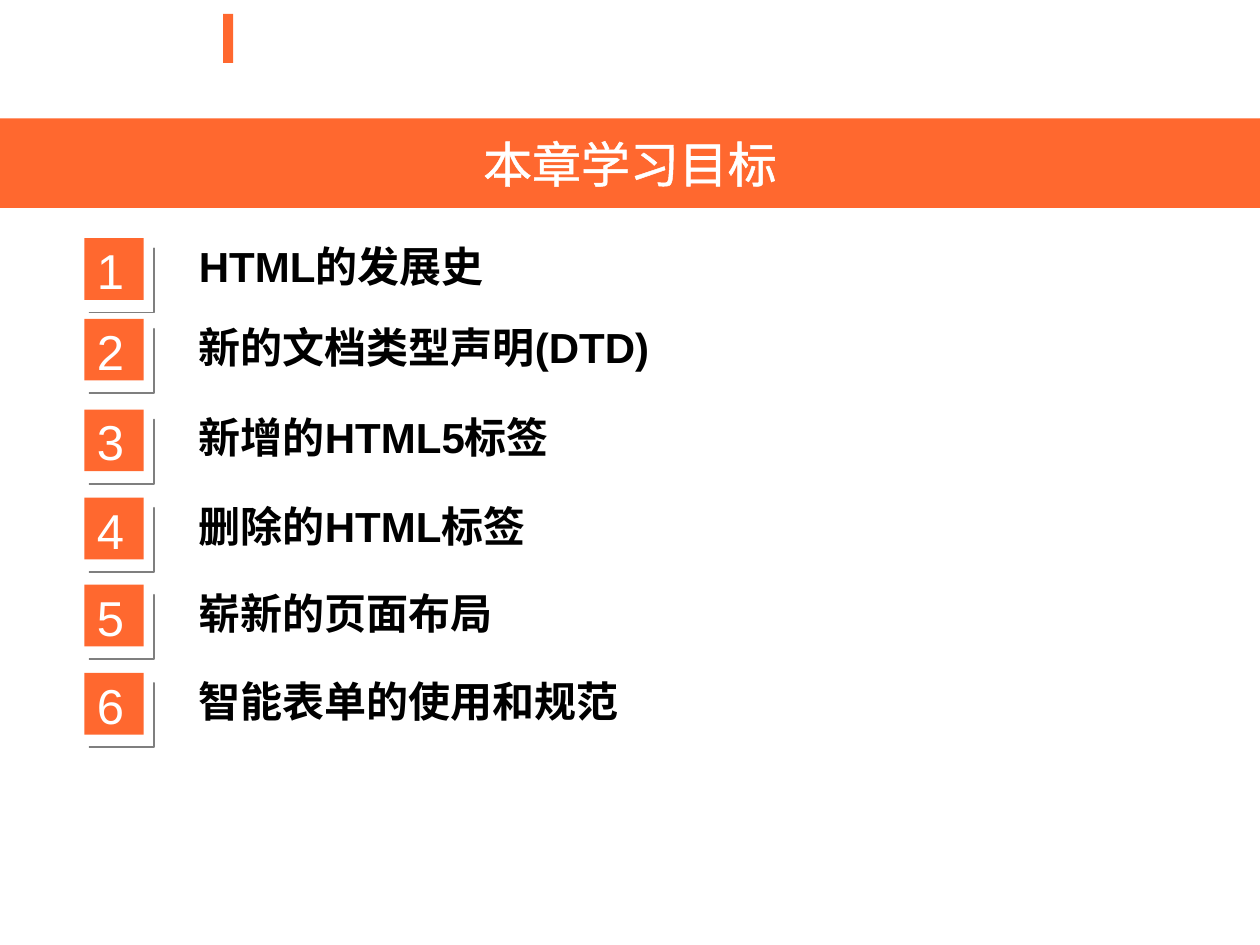
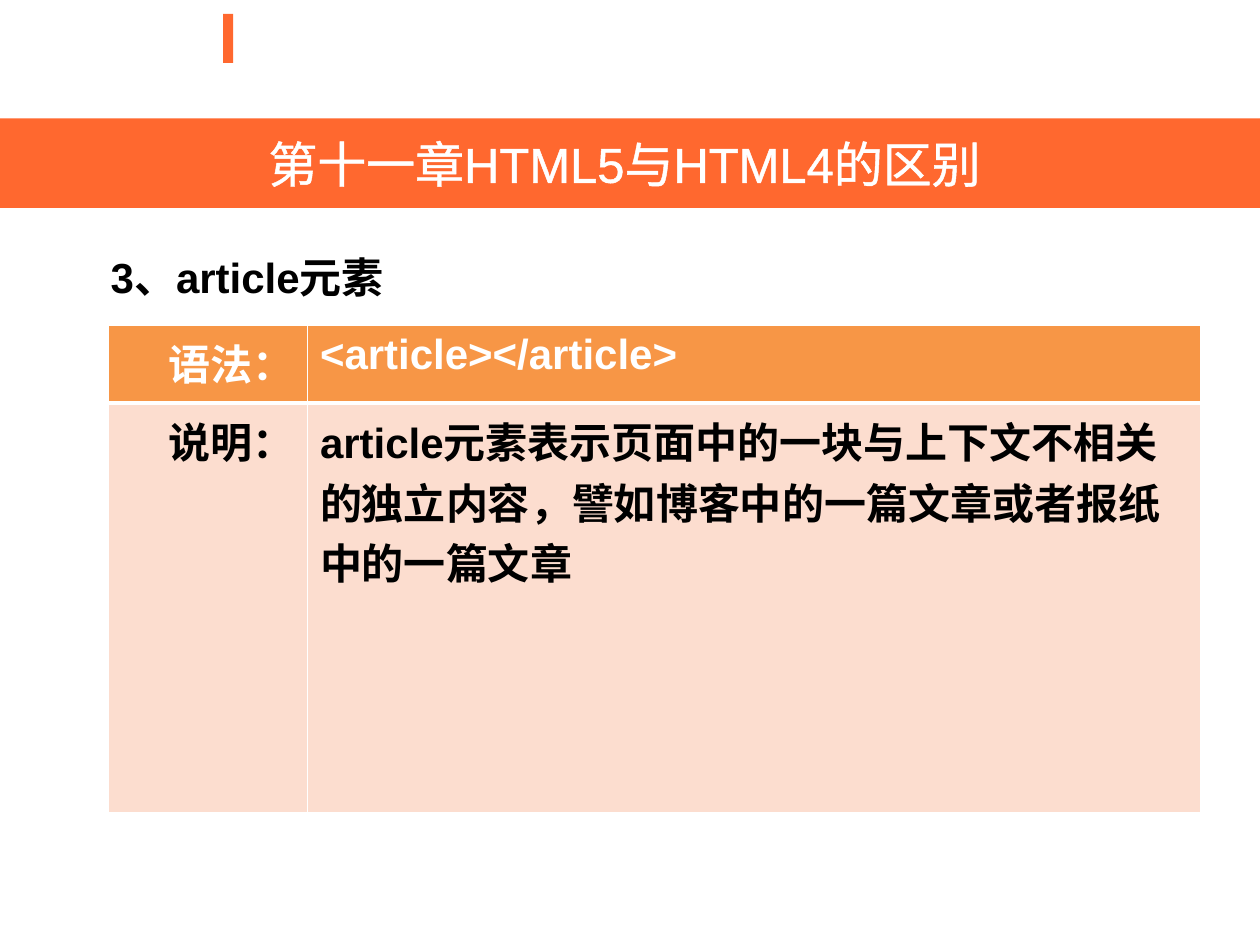
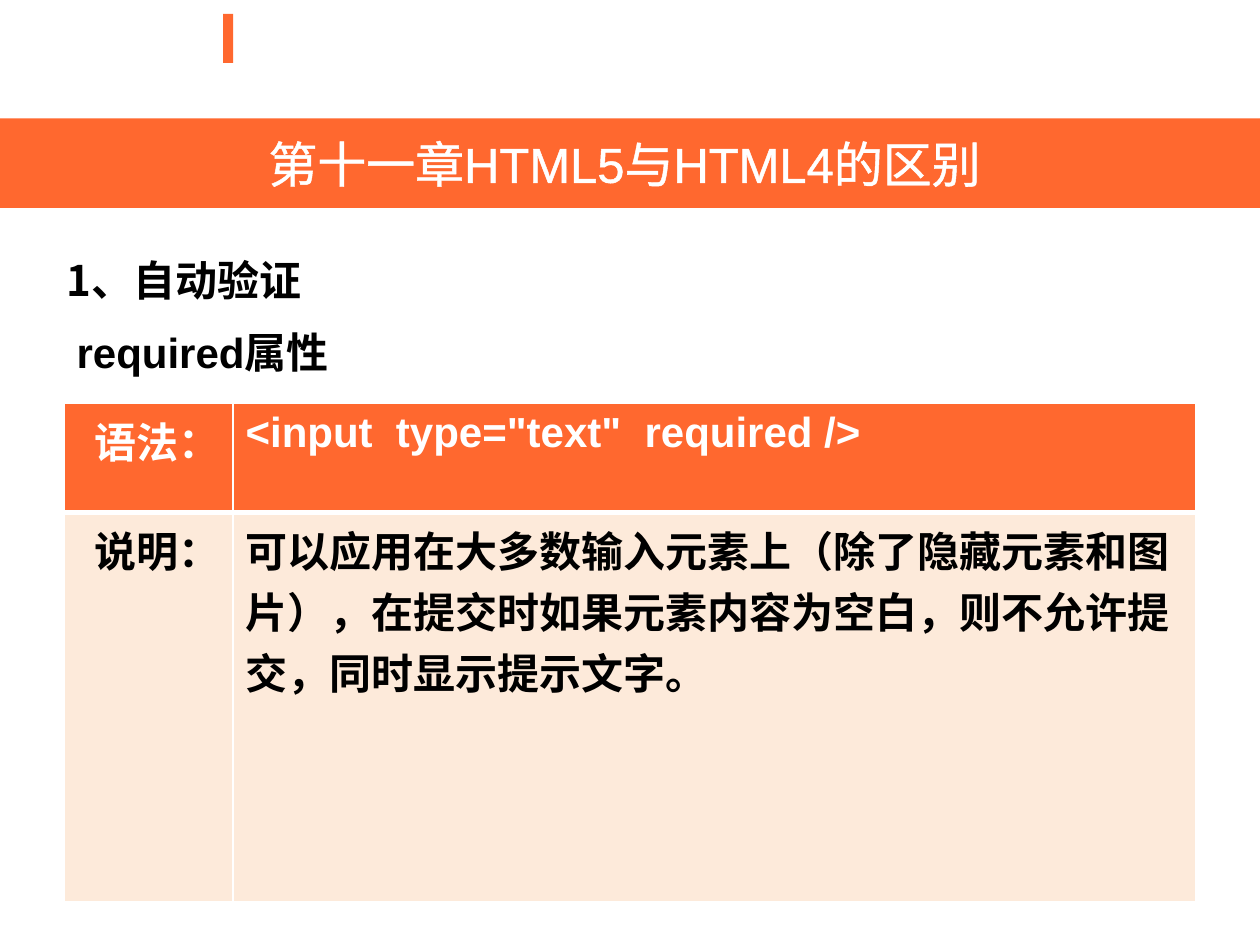
from lxml.etree import SubElement
from pptx import Presentation
from pptx.dml.color import RGBColor
from pptx.enum.shapes import MSO_SHAPE as SHAPE
from pptx.enum.text import MSO_ANCHOR as ANCHOR, PP_ALIGN as ALIGN
from pptx.oxml import parse_xml
from pptx.oxml.ns import nsdecls, qn
from pptx.util import Inches, Pt

COLORS = {
    "accent": "FF682F",
    "amber": "F79646",
    "peach": "FCDDCF",
    "cream": "FDEADA",
    "white": "FFFFFF",
    "black": "000000",
    "gray": "AFABAB",
    "edge": "7F7F7F",
}
LATIN, CJK = "Arial", "Noto Sans CJK SC"
CHAPTER = "第十一章HTML5与HTML4的区别 "
GOALS = [
    ("HTML的发展史", 1.89),
    ("新的文档类型声明(DTD)", 2.53),
    ("新增的HTML5标签", 3.25),
    ("删除的HTML标签", 3.95),
    ("崭新的页面布局", 4.64),
    ("智能表单的使用和规范", 5.34),
]


def rgb(name):
    """Return the named colour."""
    return RGBColor.from_string(COLORS[name])


def line_xml(tag, color, width):
    """Return a solid line element of the given tag and width in points."""
    return parse_xml(
        f'<a:{tag} {nsdecls("a")} w="{int(Pt(width))}"><a:solidFill>'
        f'<a:srgbClr val="{COLORS[color]}"/></a:solidFill></a:{tag}>'
    )


def write(tf, text, size=24, font=LATIN, color="black", bold=True, align=None, outline=None):
    """Put one formatted paragraph in a text frame."""
    p = tf.paragraphs[0]
    p.alignment = align
    r = p.add_run()
    r.text = text
    r.font.size, r.font.bold, r.font.name = Pt(size), bold, font
    r.font.color.rgb = rgb(color)
    rpr = r._r.get_or_add_rPr()
    SubElement(rpr, qn("a:ea")).set("typeface", CJK)
    if outline:
        rpr.insert(0, line_xml("ln", color, outline))


def add_text(s, text, left, top, width, height=0.5, **fmt):
    """Add a wrapping text box."""
    tf = s.shapes.add_textbox(*map(Inches, (left, top, width, height))).text_frame
    tf.word_wrap = True
    write(tf, text, **fmt)


def add_block(s, left, top, width, height):
    """Add a plain accent rectangle."""
    sp = s.shapes.add_shape(SHAPE.RECTANGLE, *map(Inches, (left, top, width, height)))
    sp.shadow.inherit = False
    sp.fill.solid()
    sp.fill.fore_color.rgb = rgb("accent")
    sp.line.fill.background()
    return sp


def add_corner(s, left, top, size):
    """Add the thin corner that runs below and right of a badge."""
    right, bottom = left + size, top + size
    points = [(right, bottom), (right, top), (right, bottom), (left, bottom)]
    builder = s.shapes.build_freeform(Inches(left), Inches(bottom))
    builder.add_line_segments([(Inches(x), Inches(y)) for x, y in points])
    sp = builder.convert_to_shape()
    sp.shadow.inherit = False
    sp.fill.solid()
    sp.fill.fore_color.rgb = rgb("gray")
    sp.line.color.rgb = rgb("edge")
    sp.line.width = Pt(1)


def add_goal(s, number, label, left, top):
    """Add a numbered badge with its label."""
    add_block(s, left, top, 0.47, 0.49)
    add_text(s, str(number), left, top - 0.03, 0.39, 0.57, size=28, color="white", bold=False)
    add_corner(s, left + 0.04, top + 0.08, 0.51)
    add_text(s, label, left + 0.81, top - 0.03, 7.69)


def add_syntax_table(s, left, top, widths, heights, syntax, note, head, body):
    """Add a table with a syntax row over an explanation row."""
    box = map(Inches, (left, top, sum(widths), sum(heights)))
    table = s.shapes.add_table(2, 2, *box).table
    table.first_row = table.horz_banding = False
    for col, width in zip(table.columns, widths):
        col.width = Inches(width)
    rows = [("语法：", syntax, head, "white", 1, 3), ("说明：", note, body, "black", 3, 1)]
    for i, (label, text, fill, color, above, below) in enumerate(rows):
        table.rows[i].height = Inches(heights[i])
        for j, (content, align) in enumerate([(label, ALIGN.RIGHT), (text, ALIGN.LEFT)]):
            cell = table.cell(i, j)
            cell.fill.solid()
            cell.fill.fore_color.rgb = rgb(fill)
            write(cell.text_frame, content, color=color, align=align)
            borders = [("lnL", 1), ("lnR", 1), ("lnT", above), ("lnB", below)]
            for k, (tag, width) in enumerate(borders):
                cell._tc.get_or_add_tcPr().insert(k, line_xml(tag, "white", width))


def new_slide(prs, title):
    """Add a slide with the top mark and the title band."""
    s = prs.slides.add_slide(prs.slide_layouts[6])
    add_block(s, 1.77, 0.11, 0.08, 0.39)
    tf = add_block(s, 0, 0.94, 10, 0.71).text_frame
    tf.word_wrap = True
    tf.vertical_anchor = ANCHOR.MIDDLE
    write(tf, title, size=28, color="white", bold=False, align=ALIGN.CENTER, outline=1.45)
    return s


def goals_slide(prs):
    """Build the list of learning goals."""
    s = new_slide(prs, "本章学习目标")
    for number, (label, top) in enumerate(GOALS, 1):
        add_goal(s, number, label, 0.67, top)


def article_slide(prs):
    """Build the slide on the article element."""
    s = new_slide(prs, CHAPTER)
    add_syntax_table(
        s, 0.86, 2.58, (1.58, 7.09), (0.62, 3.25),
        "<article></article>",
        "article元素表示页面中的一块与上下文不相关的独立内容，譬如博客中的一篇文章或者报纸中的一篇文章",
        "amber", "peach",
    )
    add_text(s, "3、article元素", 0.78, 1.95, 7.69)


def required_slide(prs):
    """Build the slide on the required attribute."""
    s = new_slide(prs, CHAPTER)
    add_text(s, "1、自动验证", 0.43, 1.97, 7.69, font=CJK)
    add_text(s, "required属性", 0.51, 2.54, 9, 4.72)
    add_syntax_table(
        s, 0.51, 3.2, (1.34, 7.64), (0.87, 3.09),
        '<input  type="text"  required />',
        "可以应用在大多数输入元素上（除了隐藏元素和图片），在提交时如果元素内容为空白，则不允许提交，同时显示提示文字。",
        "accent", "cream",
    )


def main():
    """Build and save the deck."""
    prs = Presentation()
    prs.slide_width, prs.slide_height = Inches(10), Inches(7.5)
    for build in (goals_slide, article_slide, required_slide):
        build(prs)
    prs.save("out.pptx")


if __name__ == "__main__":
    main()
